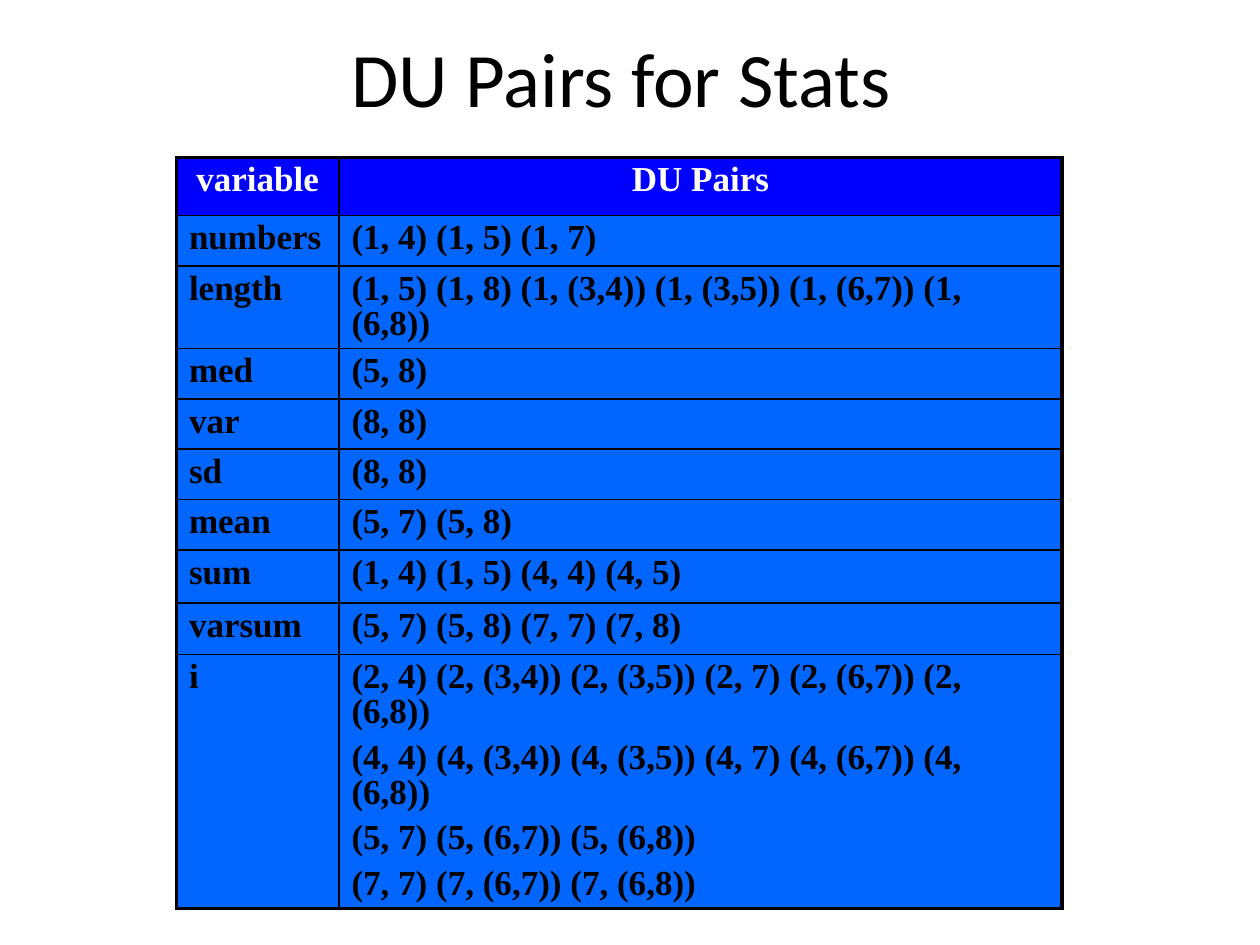
from dataclasses import dataclass

import pptx
import pptx.dml.color
import pptx.enum.text
import pptx.oxml.ns
import pptx.util
from lxml import etree

COLORS = {"header": "0000FF", "body": "0066FF", "dark": "000000", "light": "FFFFFF"}
SLIDE_WIDTH, SLIDE_HEIGHT = pptx.util.Inches(10), pptx.util.Inches(7.5)
COLUMN_WIDTHS = (1.29, 5.74)
THICK, THIN = 2.25, 1
CENTER = pptx.enum.text.PP_ALIGN.CENTER
LEFT = pptx.enum.text.PP_ALIGN.LEFT
qualified = pptx.oxml.ns.qn


@dataclass(frozen=True)
class VariableRow:
    variable: str
    pairs: tuple[str, ...]
    height: float = 0.4


HEADER = VariableRow("variable", ("DU Pairs",), 0.46)
ROWS = (
    HEADER,
    VariableRow("numbers", ("(1, 4) (1, 5) (1, 7)",)),
    VariableRow("length", ("(1, 5) (1, 8) (1, (3,4)) (1, (3,5)) (1, (6,7)) (1, (6,8))",), 0.45),
    VariableRow("med", ("(5, 8)",)),
    VariableRow("var", ("(8, 8)",)),
    VariableRow("sd", ("(8, 8)",)),
    VariableRow("mean", ("(5, 7) (5, 8)",)),
    VariableRow("sum", ("(1, 4) (1, 5) (4, 4) (4, 5)",), 0.42),
    VariableRow("varsum", ("(5, 7) (5, 8) (7, 7) (7, 8)",), 0.41),
    VariableRow("i", (
        "(2, 4) (2, (3,4)) (2, (3,5)) (2, 7) (2, (6,7)) (2, (6,8))",
        "(4, 4) (4, (3,4)) (4, (3,5)) (4, 7) (4, (6,7)) (4, (6,8))",
        "(5, 7) (5, (6,7)) (5, (6,8))",
        "(7, 7) (7, (6,7)) (7, (6,8))",
    ), 1.6),
)


def write_text(frame, lines: tuple[str, ...], *, font: str, size: float, color: str,
               bold: bool = False, align=LEFT, line_spacing: float | None = None,
               before_percent: int | None = None) -> None:
    for index, line in enumerate(lines):
        paragraph = frame.add_paragraph() if index else frame.paragraphs[0]
        paragraph.alignment = align
        if line_spacing is not None:
            paragraph.line_spacing = line_spacing
        if before_percent is not None:
            paragraph.space_before = pptx.util.Pt(0)
            spacing = paragraph._p.pPr.find(qualified("a:spcBef"))
            spacing.remove(spacing[0])
            etree.SubElement(spacing, qualified("a:spcPct"), val=str(before_percent * 1000))
        run = paragraph.add_run()
        run.text = line
        run.font.name = font
        run.font.size = pptx.util.Pt(size)
        run.font.bold = bold
        run.font.color.rgb = pptx.dml.color.RGBColor.from_string(COLORS[color])


def set_borders(cell, widths: dict[str, float]) -> None:
    properties = cell._tc.get_or_add_tcPr()
    for side, width in widths.items():
        line = etree.SubElement(properties, qualified(f"a:ln{side}"), w=str(pptx.util.Pt(width)))
        fill = etree.SubElement(line, qualified("a:solidFill"))
        etree.SubElement(fill, qualified("a:srgbClr"), val=COLORS["dark"])


def add_pairs_table(slide, rows: tuple[VariableRow, ...]) -> None:
    last_row, last_column = len(rows) - 1, len(COLUMN_WIDTHS) - 1
    table = slide.shapes.add_table(
        len(rows), len(COLUMN_WIDTHS), int(SLIDE_WIDTH * 0.14), SLIDE_HEIGHT // 6,
        pptx.util.Inches(sum(COLUMN_WIDTHS)),
        pptx.util.Inches(sum(row.height for row in rows))).table
    for column, width in zip(table.columns, COLUMN_WIDTHS):
        column.width = pptx.util.Inches(width)
    for row_index, row in enumerate(rows):
        table.rows[row_index].height = pptx.util.Inches(row.height)
        is_header = row is HEADER
        for column_index, lines in enumerate(((row.variable,), row.pairs)):
            cell = table.cell(row_index, column_index)
            set_borders(cell, {
                "L": THICK if column_index == 0 else THIN,
                "R": THICK if column_index == last_column else THIN,
                "T": THICK if row_index == 0 else THIN,
                "B": THICK if row_index == last_row else THIN,
            })
            cell.fill.solid()
            cell.fill.fore_color.rgb = pptx.dml.color.RGBColor.from_string(
                COLORS["header" if is_header else "body"])
            write_text(cell.text_frame, lines, font="Times New Roman", size=20, bold=True,
                       color="light" if is_header else "dark",
                       align=CENTER if is_header else LEFT,
                       line_spacing=0.9, before_percent=30)


def add_title(slide, text: str) -> None:
    title = slide.shapes.title
    title.left, title.top = int(SLIDE_WIDTH * 0.075), int(SLIDE_HEIGHT * 0.015)
    title.width, title.height = int(SLIDE_WIDTH * 0.85), pptx.util.Inches(1)
    title.text_frame.vertical_anchor = pptx.enum.text.MSO_ANCHOR.MIDDLE
    write_text(title.text_frame, (text,), font="Calibri", size=44, color="dark", align=CENTER)


def main() -> None:
    presentation = pptx.Presentation()
    presentation.slide_width, presentation.slide_height = SLIDE_WIDTH, SLIDE_HEIGHT
    slide = presentation.slides.add_slide(presentation.slide_layouts.get_by_name("Title Only"))
    add_title(slide, "DU Pairs for Stats ")
    add_pairs_table(slide, ROWS)
    presentation.save("out.pptx")


if __name__ == "__main__":
    main()
